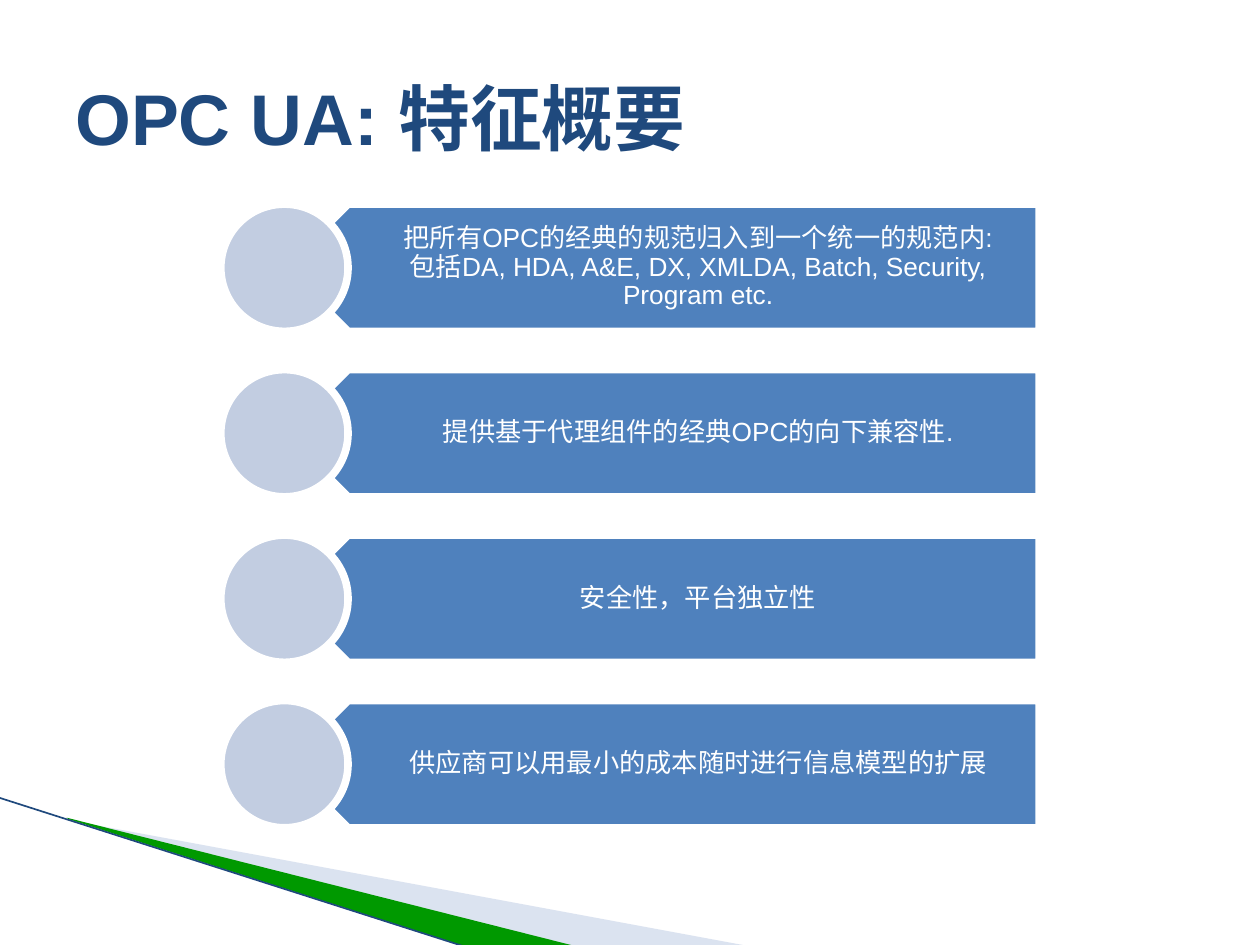
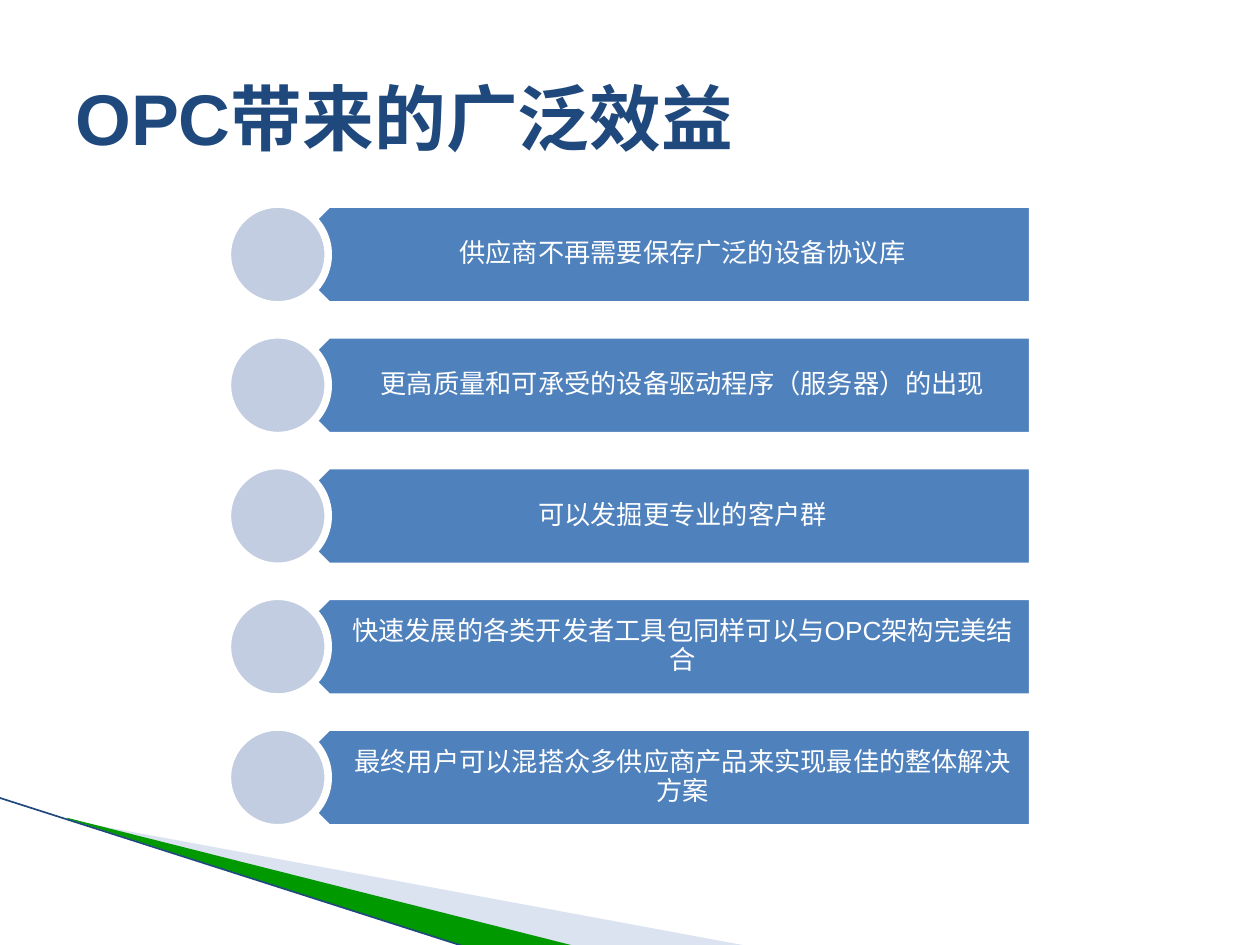
"""Build two OPC slides with bullet banners over a shared swoosh."""
from dataclasses import dataclass
from typing import Any

import lxml.etree
import pptx
import pptx.dml.color
import pptx.enum.shapes
import pptx.enum.text
import pptx.oxml.ns
import pptx.util

Inches = pptx.util.Inches
Pt = pptx.util.Pt
MSO_SHAPE = pptx.enum.shapes.MSO_SHAPE
PP_ALIGN = pptx.enum.text.PP_ALIGN
qn = pptx.oxml.ns.qn


@dataclass(frozen=True)
class Theme:
    font: str = "Arial"
    navy: str = "1F497D"
    blue: str = "4F81BD"
    pale: str = "C2CDE1"
    mist: str = "A7B9DB"
    green: str = "009900"
    white: str = "FFFFFF"
    title_size: float = 41
    body_size: float = 15
    outline: float = 4.33
    hairline: float = 0.95


@dataclass(frozen=True)
class BannerSlide:
    title: str
    banner_height: float
    banners: tuple[str, ...]


@dataclass(frozen=True)
class Wedge:
    points: tuple[tuple[float, float], ...]
    color: str
    opacity: int


THEME = Theme()
SLIDE_W, SLIDE_H = 10, 7.5
BANNER_W, BANNERS_TOP, BANNERS_BOTTOM = 5.99, 1.62, 6.57

WEDGES = (
    Wedge(((0.55, 6.51), (5.95, 7.51), (4.56, 7.51), (0.55, 6.5)), THEME.mist, 40),
    Wedge(((0.53, 6.49), (4.57, 7.51), (3.72, 7.52), (0.54, 6.5)), THEME.green, 100),
)

SLIDES = (
    BannerSlide("OPC UA: 特征概要", 1.01, (
        "把所有OPC的经典的规范归入到一个统一的规范内:\v"
        "包括DA, HDA, A&E, DX, XMLDA, Batch, Security, Program etc.",
        "提供基于代理组件的经典OPC的向下兼容性.",
        "安全性，平台独立性",
        "供应商可以用最小的成本随时进行信息模型的扩展",
    )),
    BannerSlide("OPC带来的广泛效益", 0.8, (
        "供应商不再需要保存广泛的设备协议库",
        "更高质量和可承受的设备驱动程序（服务器）的出现",
        "可以发掘更专业的客户群",
        "快速发展的各类开发者工具包同样可以与OPC架构完美结合",
        "最终用户可以混搭众多供应商产品来实现最佳的整体解决方案",
    )),
)


def rgb(color: str) -> pptx.dml.color.RGBColor:
    """Turn a hex string into a colour."""
    return pptx.dml.color.RGBColor.from_string(color)


def add_text(slide: Any, text: str, left: float, top: float, width: float, height: float, *,
             size: float, color: str, bold: bool = False, align: Any = PP_ALIGN.LEFT,
             spacing: float = 1.0,
             insets: tuple[float, float, float, float] = (0.1, 0.05, 0.1, 0.05)) -> None:
    """Add a vertically centred text box."""
    sp = slide.shapes.add_textbox(Inches(left), Inches(top), Inches(width), Inches(height))
    tf = sp.text_frame
    tf.word_wrap = True
    tf.vertical_anchor = pptx.enum.text.MSO_ANCHOR.MIDDLE
    tf.margin_left, tf.margin_top, tf.margin_right, tf.margin_bottom = map(Inches, insets)
    p = tf.paragraphs[0]
    p.text = text
    p.alignment = align
    p.line_spacing = spacing
    for r in p.runs:
        r.font.name = THEME.font
        r.font.size = Pt(size)
        r.font.bold = bold
        r.font.color.rgb = rgb(color)


def add_outlined(slide: Any, kind: Any, left: float, top: float, width: float, height: float,
                 color: str) -> Any:
    """Add a filled preset shape with the white outline."""
    sp = slide.shapes.add_shape(kind, Inches(left), Inches(top), Inches(width), Inches(height))
    sp.shadow.inherit = False
    sp.fill.solid()
    sp.fill.fore_color.rgb = rgb(color)
    sp.line.color.rgb = rgb(THEME.white)
    sp.line.width = Pt(THEME.outline)
    return sp


def add_wedge(slide: Any, wedge: Wedge) -> None:
    """Add one filled wedge of the swoosh."""
    points = [(Inches(x), Inches(y)) for x, y in wedge.points]
    builder = slide.shapes.build_freeform(*points[0])
    builder.add_line_segments(points[1:])
    sp = builder.convert_to_shape()
    sp.shadow.inherit = False
    sp.fill.solid()
    sp.fill.fore_color.rgb = rgb(wedge.color)
    sp.line.fill.background()
    if wedge.opacity < 100:
        clr = sp.fill._xPr.find(qn("a:solidFill"))[0]
        lxml.etree.SubElement(clr, qn("a:alpha")).set("val", str(wedge.opacity * 1000))


def add_swoosh(slide: Any) -> None:
    """Add the wedges and hairline at the lower left."""
    for wedge in WEDGES:
        add_wedge(slide, wedge)
    line = slide.shapes.add_connector(pptx.enum.shapes.MSO_CONNECTOR.STRAIGHT, Inches(-0.01),
                                      Inches(6.33), Inches(3.71), Inches(7.52))
    line.line.color.rgb = rgb(THEME.navy)
    line.line.width = Pt(THEME.hairline)
    lxml.etree.SubElement(line._element.spPr, qn("a:effectLst"))


def add_banner(slide: Any, text: str, top: float, height: float) -> None:
    """Add a banner: arrow plate, its text and the circle at its tip."""
    circle_left = (SLIDE_W - BANNER_W - height / 2) / 2
    plate_left = circle_left + height / 2
    text_left = plate_left + height / 4
    plate = add_outlined(slide, MSO_SHAPE.PENTAGON, plate_left, top, BANNER_W, height, THEME.blue)
    plate.rotation = 180
    add_text(slide, text, text_left, top, BANNER_W - height / 4, height,
             size=THEME.body_size, color=THEME.white, align=PP_ALIGN.CENTER, spacing=0.9,
             insets=(0.44 * height, 0.06, 0.12, 0.06))
    add_outlined(slide, MSO_SHAPE.OVAL, circle_left, top, height, height, THEME.pale)


def add_banner_slide(prs: Any, content: BannerSlide) -> None:
    """Add a titled slide with evenly spaced banners."""
    slide = prs.slides.add_slide(prs.slide_layouts[6])
    add_swoosh(slide)
    add_text(slide, content.title, 0.5, 0.3, 9, 1.25,
             size=THEME.title_size, color=THEME.navy, bold=True)
    height = content.banner_height
    pitch = (BANNERS_BOTTOM - BANNERS_TOP - height) / (len(content.banners) - 1)
    for i, text in enumerate(content.banners):
        add_banner(slide, text, BANNERS_TOP + i * pitch, height)


def main() -> None:
    """Build and save the presentation."""
    prs = pptx.Presentation()
    prs.slide_width, prs.slide_height = Inches(SLIDE_W), Inches(SLIDE_H)
    for content in SLIDES:
        add_banner_slide(prs, content)
    prs.save("out.pptx")


if __name__ == "__main__":
    main()
